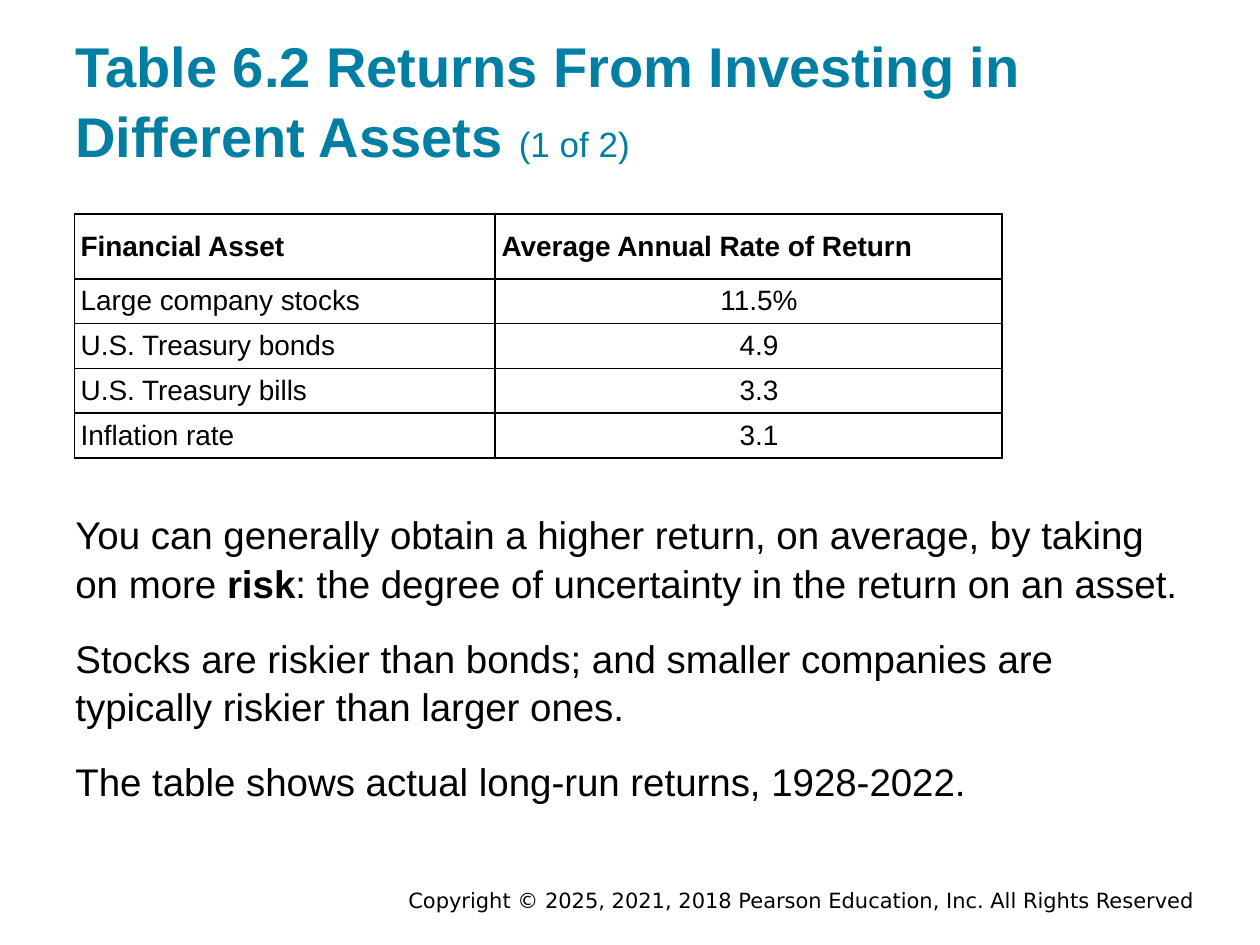
from dataclasses import dataclass, field

from lxml import etree
from pptx import Presentation
from pptx.dml.color import RGBColor
from pptx.enum.text import MSO_ANCHOR, PP_ALIGN
from pptx.oxml.ns import qn
from pptx.util import Pt

TEAL = RGBColor(0x00, 0x7F, 0xA3)
BLACK = RGBColor(0x00, 0x00, 0x00)
LEFT, CENTER, RIGHT = PP_ALIGN.LEFT, PP_ALIGN.CENTER, PP_ALIGN.RIGHT
TOP, MIDDLE, BOTTOM = MSO_ANCHOR.TOP, MSO_ANCHOR.MIDDLE, MSO_ANCHOR.BOTTOM

BODY_SPACING = 15
LINE_SPACING = 1.05
CELL_INDENT = 12
BORDER_WIDTH = 1
COLUMN_WIDTHS = (240.5, 289.5)
ROW_HEIGHTS = (37, 25, 25, 25, 25)
RETURNS = (
    ("Financial Asset", "Average Annual Rate of Return"),
    ("Large company stocks", "11.5%"),
    ("U.S. Treasury bonds", "4.9"),
    ("U.S. Treasury bills", "3.3"),
    ("Inflation rate", "3.1"),
)


@dataclass(frozen=True)
class Run:
    text: str
    format: dict = field(default_factory=dict)


@dataclass(frozen=True)
class TextBlock:
    left: float
    top: float
    width: float
    height: float
    paragraphs: tuple
    font: dict
    anchor: int = TOP
    alignment: int = LEFT
    margin: float = 7.2
    line_spacing: float = LINE_SPACING


TITLE = TextBlock(
    36, 17.3, 648, 86.4,
    ((Run("Table 6.2 Returns From Investing in Different Assets ", {"bold": True}),
      Run("(1 of 2)", {"size": Pt(20)})),),
    {"name": "Arial", "size": Pt(32), "color": TEAL},
    anchor=BOTTOM,
)
BODY = TextBlock(
    36, 283.7, 653.8, 178.6,
    ((Run("You can generally obtain a higher return, on average, by taking on more "),
      Run("risk", {"bold": True}),
      Run(": the degree of uncertainty in the return on an asset.")),
     (Run("Stocks are riskier than bonds; and smaller companies are typically "
          "riskier than larger ones."),),
     (Run("The table shows actual long-run returns, 1928-2022."),)),
    {"name": "Arial", "size": Pt(22), "color": BLACK},
)
COPYRIGHT = TextBlock(
    126, 506.2, 563.8, 15.8,
    ((Run("Copyright © 2025, 2021, 2018 Pearson Education, Inc. All Rights Reserved"),),),
    {"name": "DejaVu Sans", "size": Pt(12), "color": BLACK},
    anchor=MIDDLE, alignment=RIGHT, margin=3.6, line_spacing=1.0,
)


def set_attributes(target, values: dict) -> None:
    for name, value in values.items():
        if name == "color":
            target.color.rgb = value
        else:
            setattr(target, name, value)


def add_text_block(slide, block: TextBlock) -> None:
    shape = slide.shapes.add_textbox(
        Pt(block.left), Pt(block.top), Pt(block.width), Pt(block.height))
    frame = shape.text_frame
    set_attributes(frame, {
        "word_wrap": True, "vertical_anchor": block.anchor,
        "margin_left": Pt(7.2), "margin_right": Pt(7.2),
        "margin_top": Pt(block.margin), "margin_bottom": Pt(block.margin),
    })
    for index, runs in enumerate(block.paragraphs):
        paragraph = frame.add_paragraph() if index else frame.paragraphs[0]
        set_attributes(paragraph, {
            "alignment": block.alignment,
            "line_spacing": block.line_spacing,
            "space_before": Pt(BODY_SPACING if index else 0),
        })
        for item in runs:
            run = paragraph.add_run()
            run.text = item.text
            set_attributes(run.font, {"bold": False, **block.font, **item.format})


def add_borders(cell) -> None:
    properties = cell._tc.get_or_add_tcPr()
    for position, side in enumerate(("a:lnL", "a:lnR", "a:lnT", "a:lnB")):
        line = etree.Element(qn(side), w=str(Pt(BORDER_WIDTH)))
        fill = etree.SubElement(line, qn("a:solidFill"))
        etree.SubElement(fill, qn("a:srgbClr"), val=str(BLACK))
        properties.insert(position, line)


def fill_cell(cell, text: str, is_header: bool, is_value: bool) -> None:
    set_attributes(cell, {
        "text": text, "vertical_anchor": MIDDLE,
        "margin_left": Pt(3.6), "margin_right": Pt(3.6),
        "margin_top": Pt(3.2), "margin_bottom": Pt(3.2),
    })
    cell.fill.background()
    add_borders(cell)
    paragraph = cell.text_frame.paragraphs[0]
    if is_value and not is_header:
        paragraph.alignment = CENTER
        paragraph._p.get_or_add_pPr().set("marL", str(Pt(CELL_INDENT)))
    set_attributes(paragraph.runs[0].font, {
        "name": "Arial", "size": Pt(16), "bold": is_header, "color": BLACK,
    })


def add_returns_table(slide, left: float, top: float) -> None:
    table = slide.shapes.add_table(
        len(RETURNS), len(COLUMN_WIDTHS), Pt(left), Pt(top),
        Pt(sum(COLUMN_WIDTHS)), Pt(sum(ROW_HEIGHTS))).table
    set_attributes(table, {"first_row": False, "horz_banding": False})
    for column, width in zip(table.columns, COLUMN_WIDTHS):
        column.width = Pt(width)
    for row_index, (row, height) in enumerate(zip(table.rows, ROW_HEIGHTS)):
        row.height = Pt(height)
        for column_index, text in enumerate(RETURNS[row_index]):
            fill_cell(table.cell(row_index, column_index), text,
                      row_index == 0, column_index == 1)


def main() -> None:
    presentation = Presentation()
    set_attributes(presentation, {"slide_width": Pt(720), "slide_height": Pt(540)})
    slide = presentation.slides.add_slide(presentation.slide_layouts[6])
    add_text_block(slide, COPYRIGHT)
    add_text_block(slide, TITLE)
    add_returns_table(slide, 42.5, 122.4)
    add_text_block(slide, BODY)
    presentation.save("out.pptx")


if __name__ == "__main__":
    main()
